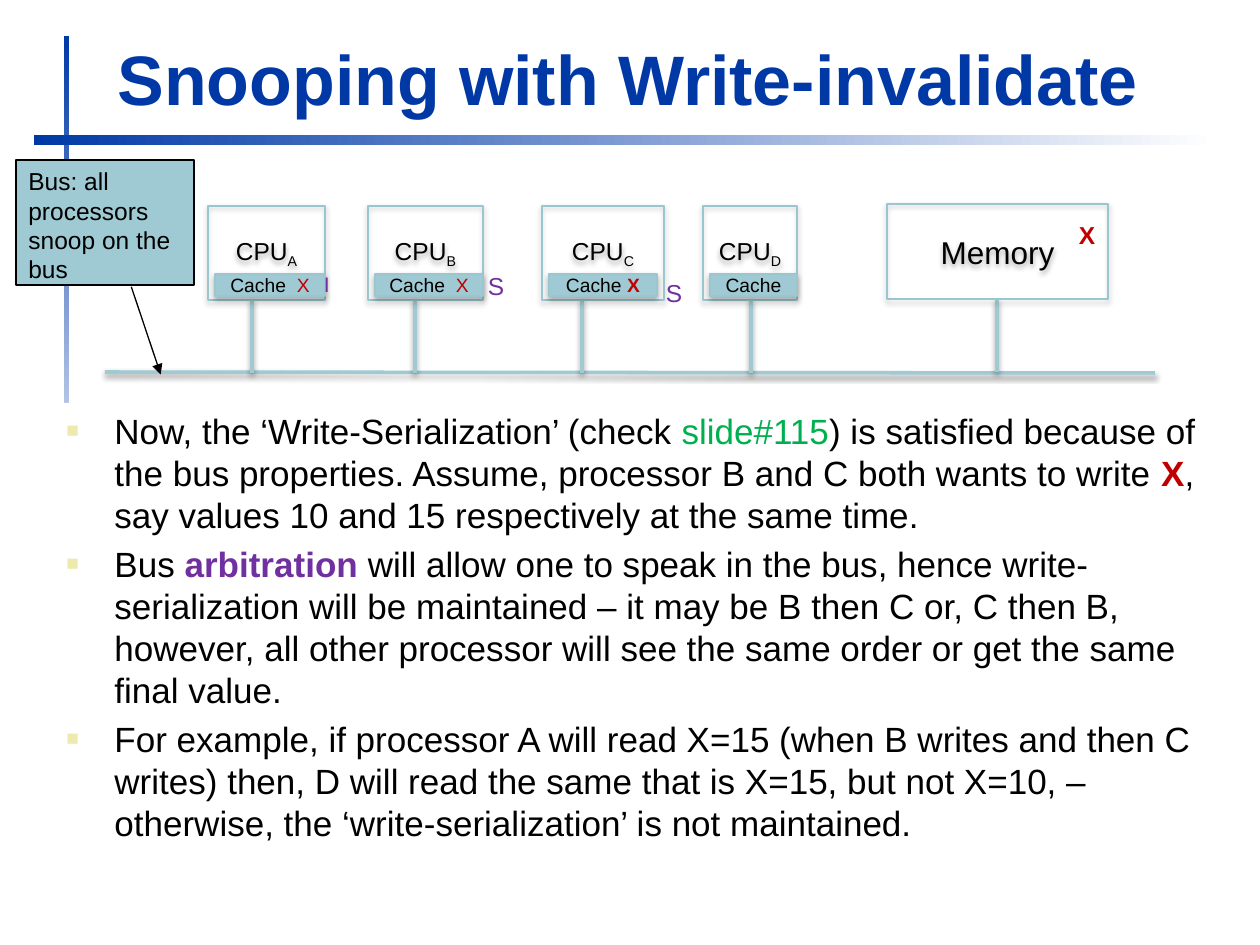
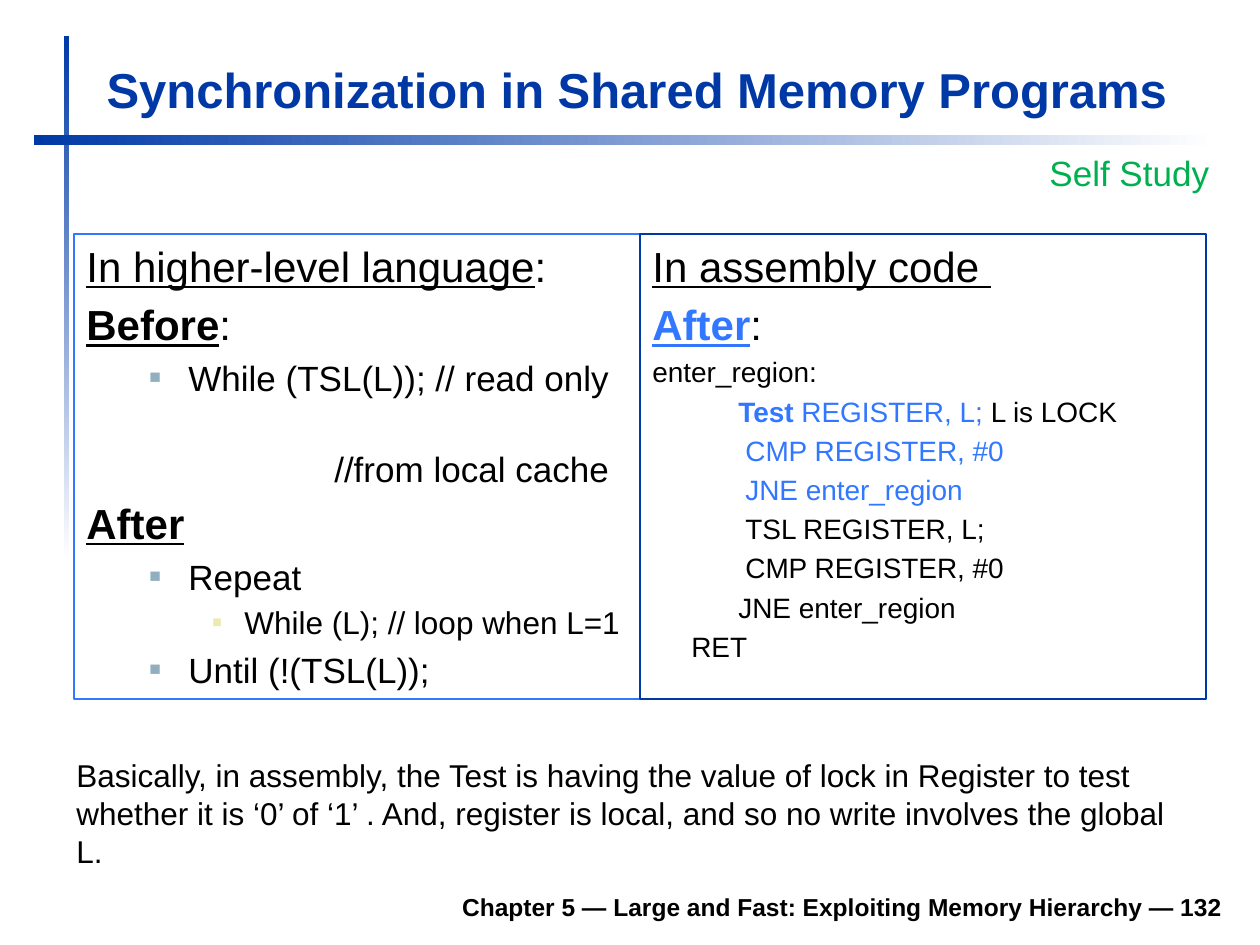
from dataclasses import dataclass

from lxml.etree import SubElement
from pptx import Presentation
from pptx.dml.color import RGBColor
from pptx.enum.shapes import MSO_CONNECTOR as Connector, MSO_SHAPE as Preset
from pptx.enum.text import MSO_ANCHOR as Anchor, MSO_AUTO_SIZE as AutoSize, PP_ALIGN as Align
from pptx.oxml.ns import qn
from pptx.util import Emu, Pt

PX_PER_INCH = 126
TITLE_ONLY = 5


@dataclass(frozen=True)
class Theme:
    font: str = "Arial"
    navy: str = "0039A6"
    blue: str = "3177FF"
    teal: str = "9FCAD3"
    teal_edge: str = "9AC6D0"
    steel: str = "91AFBF"
    cream: str = "ECEAAC"
    red: str = "C00000"
    purple: str = "7030A0"
    green: str = "00B050"
    black: str = "000000"
    white: str = "FFFFFF"
    title: int = 40
    long_title: int = 28
    heading: int = 24
    body: int = 20
    note: int = 18
    code: int = 16
    label: int = 14
    state: int = 12
    cache: int = 11


THEME = Theme()
RED = {"color": THEME.red}
BOLD_RED = {"color": THEME.red, "bold": True}
BLUE = {"color": THEME.blue}
UNDERLINE = {"underline": True}
STRONG = {"bold": True, "underline": True}

# Bullet styles: left indent, hanging indent (px), colour, size in percent
BULLETS = {
    1: (48, -48, THEME.cream, 60),
    2: (102, -39, THEME.steel, 55),
    3: (158, -32, THEME.cream, 50),
}


def px(count):
    return Emu(round(count * 914400 / PX_PER_INCH))


def rgb(colour):
    return RGBColor.from_string(colour)


def add_tag(parent, tag, **values):
    child = SubElement(parent, qn(tag))
    for name, value in values.items():
        child.set(name, str(value))
    return child


def set_effects(item, shadow=None):
    """Replace the inherited effects; shadow is (opacity percent, distance EMU)."""
    effects = add_tag(item._element.spPr, "a:effectLst")
    if shadow:
        opacity, distance = shadow
        outer = add_tag(effects, "a:outerShdw", blurRad=40000, dist=distance,
                        dir=5400000, rotWithShape=0)
        tint = add_tag(outer, "a:srgbClr", val=THEME.black)
        add_tag(tint, "a:alpha", val=opacity * 1000)


def add_span(para, text, size, color=THEME.black, baseline=None, **format_values):
    span = para.add_run()
    span.text = text
    for name, value in {"name": THEME.font, "size": Pt(size), **format_values}.items():
        setattr(span.font, name, value)
    span.font.color.rgb = rgb(color)
    if baseline:
        span.font._element.set("baseline", str(baseline * 1000))


def add_bullet(para, level):
    left, hanging, colour, percent = BULLETS[level]
    props = para._p.get_or_add_pPr()
    props.set("marL", str(px(left)))
    props.set("indent", str(px(hanging)))
    add_tag(add_tag(props, "a:buClr"), "a:srgbClr", val=colour)
    add_tag(props, "a:buSzPct", val=percent * 1000)
    add_tag(props, "a:buFont", typeface=THEME.font)
    add_tag(props, "a:buChar", char="■")


def write(frame, paras, anchor=Anchor.TOP, align=Align.LEFT, spaced=False, wrap=True):
    """Write paragraphs given as (size, spans, options); a span is (text, format)."""
    for name, value in {"word_wrap": wrap, "auto_size": AutoSize.NONE,
                        "vertical_anchor": anchor}.items():
        setattr(frame, name, value)
    for index, (size, spans, options) in enumerate(paras):
        para = frame.add_paragraph() if index else frame.paragraphs[0]
        para.alignment = align
        if spaced:
            para.space_before = Pt(round(size * 0.2 + options.get("gap", 0), 1))
        if "bullet" in options:
            add_bullet(para, options["bullet"])
        elif "indent" in options:
            para._p.get_or_add_pPr().set("marL", str(px(options["indent"])))
        for text, format_values in spans:
            add_span(para, text, size, **format_values)


def line_of(size, text, **options):
    """A paragraph with a single plain span."""
    return size, [(text, {})], options


def add_box(page, place, fill=None, edge=None, shadow=None, preset=Preset.RECTANGLE):
    box = page.shapes.add_shape(preset, *map(px, place))
    if fill:
        box.fill.solid()
        box.fill.fore_color.rgb = rgb(fill)
    else:
        box.fill.background()
    if edge:
        box.line.color.rgb = rgb(edge)
        box.line.width = Pt(0.75)
    else:
        box.line.fill.background()
    set_effects(box, shadow)
    return box


def add_text(page, place, paras, **layout):
    box = page.shapes.add_textbox(*map(px, place))
    write(box.text_frame, paras, **layout)
    return box


def add_state(page, left, top, width, inset, letter, size, colour, **format_values):
    """A single letter beside a cache or memory cell."""
    box = add_text(page, (left, top, width, 43),
                   [(size, [(letter, {"color": colour, **format_values})], {})], wrap=False)
    box.text_frame.margin_left = px(inset)
    box.text_frame.margin_right = 0


def add_wire(page, start, end):
    wire = page.shapes.add_connector(Connector.STRAIGHT, *map(px, start + end))
    wire.line.color.rgb = rgb(THEME.teal)
    wire.line.width = Pt(2)
    set_effects(wire, (38, 20000))


def add_band(page, place, angle):
    band = page.shapes.add_shape(Preset.RECTANGLE, *map(px, place))
    band.fill.gradient()
    band.fill.gradient_angle = angle
    for stop, colour in zip(band.fill.gradient_stops, (THEME.navy, THEME.white)):
        stop.color.rgb = rgb(colour)
    band.line.fill.background()
    set_effects(band)


def add_page(deck, title, place, size):
    page = deck.slides.add_slide(deck.slide_layouts[TITLE_ONLY])
    heading = page.shapes.title
    for name, value in zip(("left", "top", "width", "height"), place):
        setattr(heading, name, px(value))
    write(heading.text_frame, [(size, [(title, {"color": THEME.navy, "bold": True})], {})],
          anchor=Anchor.BOTTOM)
    add_band(page, (64, 36, 5, 525), 270)
    add_band(page, (34, 135, 1181, 10), 0)
    return page


def add_node(page, place, size, spans, fill=None):
    node = add_box(page, place, fill, THEME.teal_edge, (35, 23000))
    write(node.text_frame, [(size, spans, {})], Anchor.MIDDLE, Align.CENTER)


def add_cpu(page, letter, left, width, cache_width, wire_x, cache_spans):
    add_wire(page, (wire_x, 373), (wire_x, 299))
    add_node(page, (left, 206, width, 94), THEME.label,
             [("CPU", {}), (letter, {"baseline": -25})])
    add_node(page, (left + 7, 274, cache_width, 22), THEME.cache, cache_spans, THEME.teal)


def add_bus_callout(page):
    callout = add_box(page, (16, 160, 178, 125), THEME.teal, THEME.black,
                      preset=Preset.LINE_CALLOUT_1)
    for index, value in enumerate((1.015, 0.648, 1.716, 0.813)):
        callout.adjustments[index] = value
    add_tag(callout.line._get_or_add_ln(), "a:tailEnd", type="triangle")
    write(callout.text_frame, [line_of(THEME.label, "Bus: all processors snoop on the bus")])


def build_snooping(deck):
    page = add_page(deck, "Snooping with Write-invalidate", (105, 29, 1126, 97), THEME.title)
    body = add_box(page, (54, 403, 1177, 517), THEME.white)
    write(body.text_frame, [
        (THEME.body, [
            ("Now, the ‘Write-Serialization’ (check ", {}),
            ("slide#115", {"color": THEME.green}),
            (") is satisfied because of the bus properties. Assume, processor B and C "
             "both wants to write ", {}),
            ("X", BOLD_RED),
            (", say values 10 and 15 respectively at the same time.", {}),
        ], {"bullet": 1}),
        (THEME.body, [
            ("Bus ", {}),
            ("arbitration ", {"color": THEME.purple, "bold": True}),
            ("will allow one to speak in the bus, hence write-serialization will be "
             "maintained – it may be B then C or, C then B, however, all other processor "
             "will see the same order or get the same final value.", {}),
        ], {"bullet": 1}),
        line_of(THEME.body, "For example, if processor A will read X=15 (when B writes and "
                "then C writes) then, D will read the same that is X=15, but not X=10, – "
                "otherwise, the ‘write-serialization’ is not maintained.", bullet=1),
    ], spaced=True)

    add_wire(page, (105, 372), (1155, 373))
    add_wire(page, (997, 299), (997, 372))
    add_node(page, (887, 204, 221, 95), THEME.note, [("Memory", {})])
    shared_copy = [("Cache  ", {}), ("X", RED)]
    for cpu in (
        ("A", 208, 117, 110, 252, shared_copy),
        ("B", 368, 115, 108, 415, shared_copy),
        ("C", 542, 122, 108, 582, [("Cache ", {}), ("X", BOLD_RED)]),
        ("D", 703, 94, 87, 751, [("Cache", {})]),
    ):
        add_cpu(page, *cpu)
    add_bus_callout(page)
    add_state(page, 1067, 214, 25, 12, "X", THEME.label, THEME.red, bold=True)
    add_state(page, 321, 265, 15, 3, "I", THEME.state, THEME.purple)
    for left, top in ((480, 265), (658, 272)):
        add_state(page, left, top, 21, 8, "S", THEME.label, THEME.purple)


def build_synchronization(deck):
    page = add_page(deck, "Synchronization in Shared Memory Programs",
                    (94, 53, 1138, 72), THEME.long_title)
    high_level = [
        (THEME.heading, [("In higher-level language", UNDERLINE), (":", {})], {}),
        (THEME.heading, [("Before", STRONG), (":", {})], {}),
        line_of(THEME.body, "While (TSL(L)); // read only", bullet=2),
        line_of(THEME.body, "//from local cache", indent=248, gap=24),
        (THEME.heading, [("After", STRONG)], {}),
        line_of(THEME.body, "Repeat", bullet=2),
        line_of(THEME.note, "While (L); // loop when L=1", bullet=3),
        line_of(THEME.body, "Until (!(TSL(L));", bullet=2),
    ]
    assembly = [
        (THEME.heading, [("In assembly code ", UNDERLINE)], {}),
        (THEME.heading, [("After", {**BLUE, **STRONG}), (":", {})], {}),
        line_of(THEME.code, "enter_region:"),
        (THEME.code, [("Test", {**BLUE, "bold": True}), (" REGISTER, L; ", BLUE),
                      ("L is LOCK", {})], {"indent": 86}),
        (THEME.code, [("CMP REGISTER, #0", BLUE)], {"indent": 93}),
        (THEME.code, [("JNE enter_region", BLUE)], {"indent": 93}),
        line_of(THEME.code, "TSL REGISTER, L;", indent=93),
        line_of(THEME.code, "CMP REGISTER, #0", indent=93),
        line_of(THEME.code, "JNE enter_region", indent=86),
        line_of(THEME.code, "RET", indent=39),
    ]
    columns = ((high_level, THEME.blue), (assembly, THEME.navy))
    for column, (paras, edge) in enumerate(columns):
        panel = add_box(page, (74 + 566 * column, 234, 566, 465), edge=edge)
        write(panel.text_frame, paras, spaced=True)

    add_text(page, (64, 750, 1131, 127), [line_of(
        THEME.note, "Basically, in assembly, the Test is having the value of lock in Register "
        "to test whether it is ‘0’ of ‘1’ . And, register is local, and so no write involves "
        "the global L.")])
    add_text(page, (1037, 145, 198, 55),
             [(THEME.body, [("Self Study", {"color": THEME.green})], {})])
    add_text(page, (233, 879, 1002, 49), [(THEME.label, [
        ("Chapter 5 — Large and Fast: Exploiting Memory Hierarchy — 132", {"bold": True}),
    ], {})], anchor=Anchor.BOTTOM, align=Align.RIGHT)


def main():
    deck = Presentation()
    deck.slide_width, deck.slide_height = px(1260), px(945)
    build_snooping(deck)
    build_synchronization(deck)
    deck.save("out.pptx")


if __name__ == "__main__":
    main()
